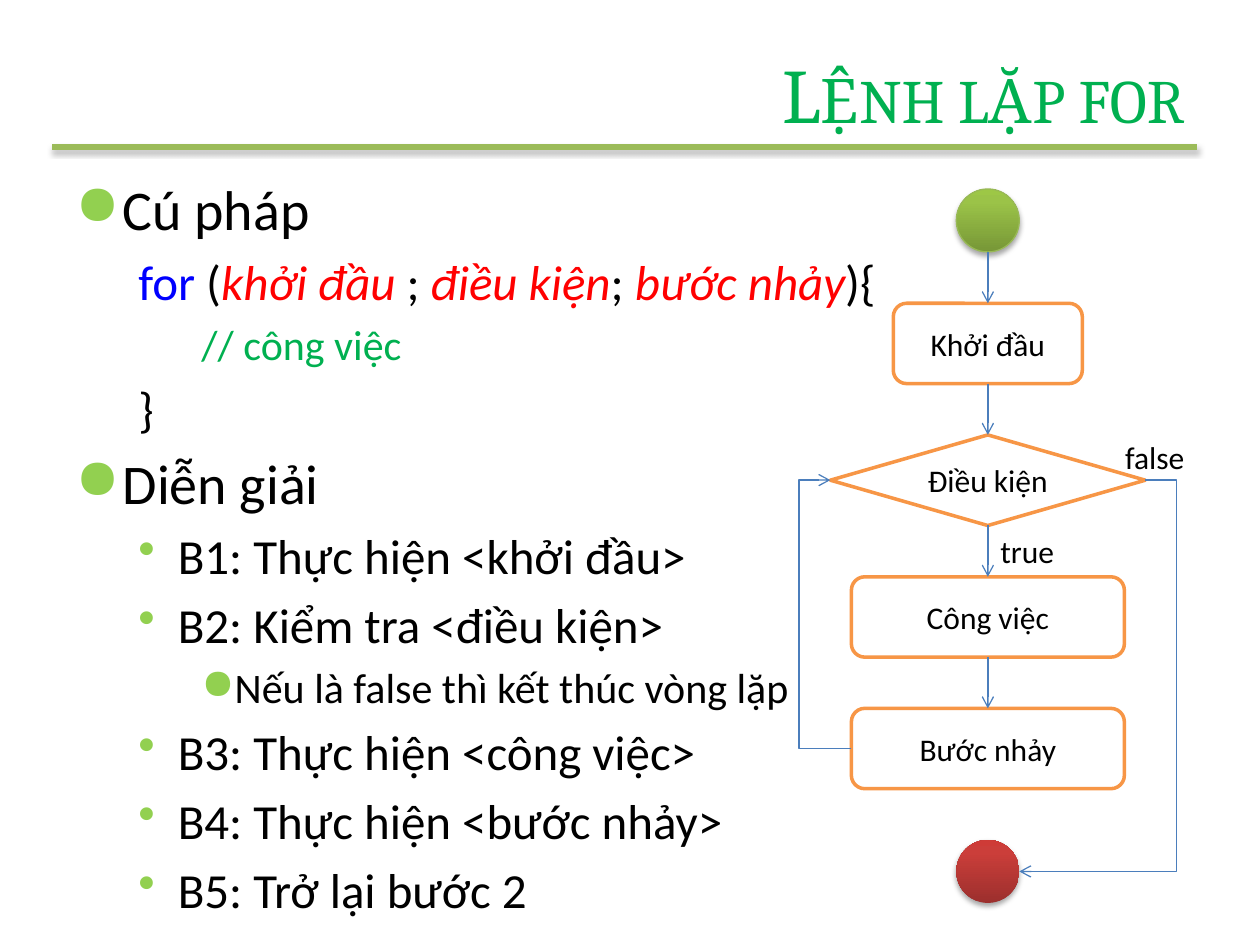
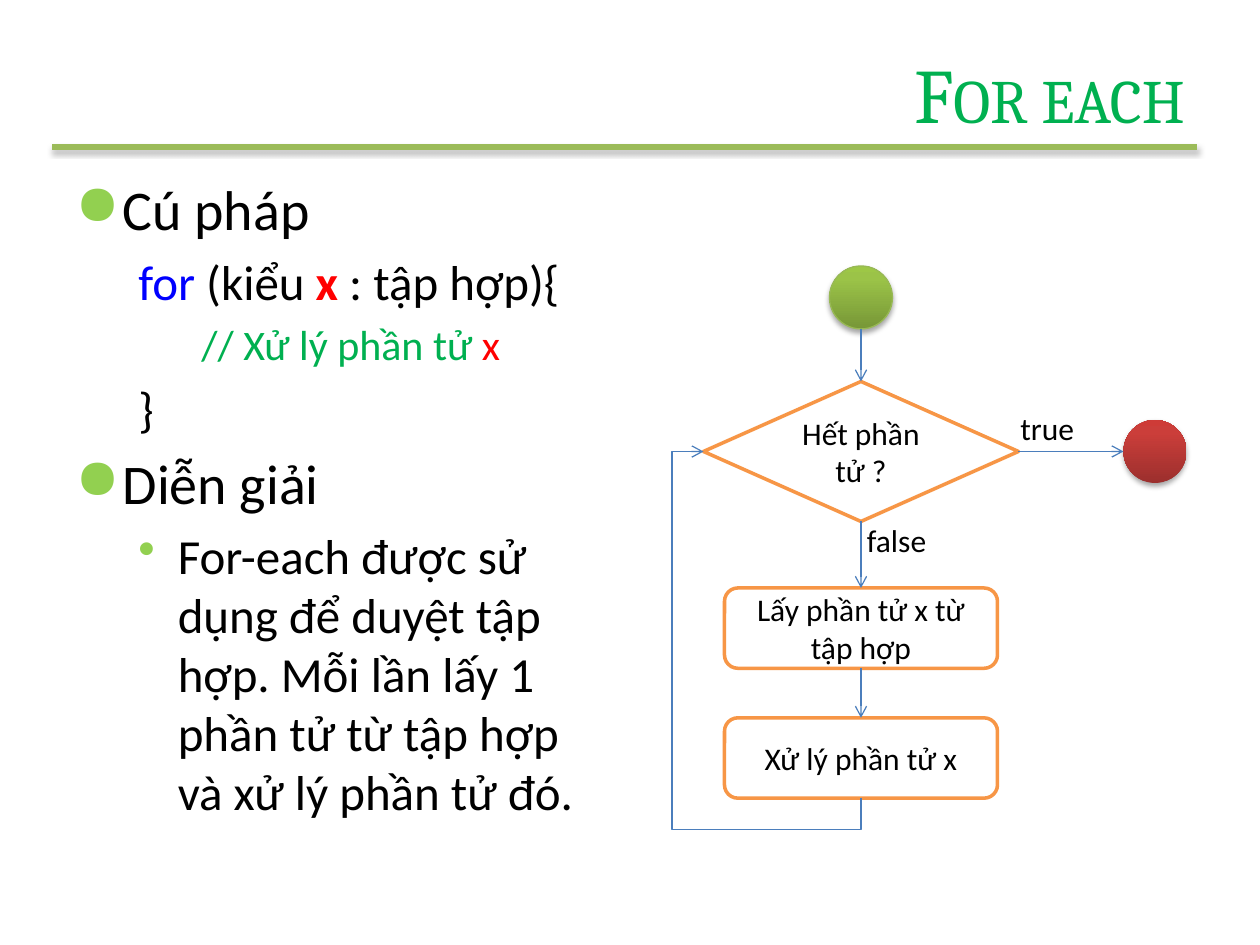
from lxml.etree import SubElement
from pptx import Presentation
from pptx.dml.color import RGBColor
from pptx.enum.shapes import MSO_CONNECTOR as CONN, MSO_SHAPE as SHAPE
from pptx.enum.text import MSO_ANCHOR as ANCHOR, MSO_AUTO_SIZE as AUTO, PP_ALIGN as ALIGN
from pptx.oxml import parse_xml
from pptx.oxml.ns import nsdecls, qn
from pptx.util import Pt

BLACK, WHITE, RED, BLUE, GREEN = "000000", "FFFFFF", "FF0000", "0000FF", "00B050"
BULLET, RULE, BOX_LINE, ARROW = "92D050", "9BBB59", "F79646", "4B7EBC"
START_GRAD = ((0, "779737"), (80, "9BC348"), (100, "9DC746"))
END_GRAD = ((0, "9C2F2D"), (80, "CB3E3A"), (100, "CE3B37"))
START_LINE = "98B955"

# level: (size, left margin, hanging indent, bullet)
LEVELS = ((32, 27, 27, "●"), (28, 58.5, 22.5, "•"), (24, 90, 18, "●"))
TOP, LEFT, BOTTOM, RIGHT = range(4)
DOT, BOX_H = 36, 45.9

# body: (level, has bullet, runs); stack: (name, kind, text, width, height, gap above)
# arrows: (from, side, to, side); loops: (from, side, to, side, turn x, turn y, arrow at start)
SLIDES = [
    {
        "title": "Lệnh lặp for",
        "body_size": (480, 420),
        "body": [
            (0, True, [("Cú pháp", {})]),
            (1, False, [("for", {"color": BLUE}), (" (", {}),
                        ("khởi đầu ", {"color": RED, "italic": True}), ("; ", {}),
                        ("điều kiện", {"color": RED, "italic": True}), ("; ", {}),
                        ("bước nhảy", {"color": RED, "italic": True}), ("){", {})]),
            (2, False, [("// công việc", {"color": GREEN})]),
            (1, False, [("}", {})]),
            (0, True, [("Diễn giải", {})]),
            (1, True, [("B1: Thực hiện <khởi đầu>", {})]),
            (1, True, [("B2: Kiểm tra <điều kiện>", {})]),
            (2, True, [("Nếu là false thì kết thúc vòng lặp", {})]),
            (1, True, [("B3: Thực hiện <công việc>", {})]),
            (1, True, [("B4: Thực hiện <bước nhảy>", {})]),
            (1, True, [("B5: Trở lại bước 2", {})]),
        ],
        "center": 564.5,
        "top": 108,
        "stack": [
            ("start", "start", "", DOT, DOT, 0),
            ("init", "box", "Khởi đầu", 108, BOX_H, 29.3),
            ("test", "decision", "Điều kiện", 180, 51.8, 29.3),
            ("work", "box", "Công việc", 156, BOX_H, 29.3),
            ("step", "box", "Bước nhảy", 156, BOX_H, 29.3),
            ("end", "end", "", DOT, DOT, 29.3),
        ],
        "arrows": [("start", BOTTOM, "init", TOP), ("init", BOTTOM, "test", TOP),
                   ("test", BOTTOM, "work", TOP), ("work", BOTTOM, "step", TOP)],
        "loops": [("test", RIGHT, "end", RIGHT, 672.5, None, False),
                  ("step", LEFT, "test", LEFT, 456.5, None, False)],
        "labels": [("true", 564.5, 300.5, 45.5), ("false", 635.8, 246.5, 49)],
    },
    {
        "title": "For each",
        "body_size": (312, 426),
        "body": [
            (0, True, [("Cú pháp", {})]),
            (1, False, [("for", {"color": BLUE}), (" (kiểu ", {}),
                        ("x", {"color": RED, "bold": True}), (" : tập hợp){", {})]),
            (2, False, [("// Xử lý phần tử ", {"color": GREEN}), ("x", {"color": RED})]),
            (1, False, [("}", {})]),
            (0, True, [("Diễn giải", {})]),
            (1, True, [("For-each được sử dụng để duyệt tập hợp. Mỗi lần lấy 1 phần tử "
                        "từ tập hợp và xử lý phần tử đó.", {})]),
        ],
        "center": 492,
        "top": 152,
        "stack": [
            ("start", "start", "", DOT, DOT, 0),
            ("test", "decision", "Hết phần tử ?", 180, 80, 30),
            ("take", "box", "Lấy phần tử x từ tập hợp", 156, BOX_H, 38),
            ("work", "box", "Xử lý phần tử x", 156, BOX_H, 28.3),
        ],
        "beside": ("end", "end", "", DOT, DOT, 660, "test"),
        "arrows": [("start", BOTTOM, "test", TOP), ("test", BOTTOM, "take", TOP),
                   ("take", BOTTOM, "work", TOP), ("test", RIGHT, "end", LEFT)],
        "loops": [("test", LEFT, "work", BOTTOM, 384, 474, True)],
        "labels": [("false", 488.3, 294, 49), ("true", 576, 230, 45.5)],
    },
]


def rgb(color):
    return RGBColor.from_string(color)


def write(p, text, size=18, color=BLACK, font="Calibri", bold=False, italic=False, caps=None):
    r = p.add_run()
    r.text = text
    f = r.font
    f.size, f.name, f.bold, f.italic = Pt(size), font, bold, italic
    f.color.rgb = rgb(color)
    if caps:
        r._r.get_or_add_rPr().set("cap", caps)


def add_box(slide, left, top, width, height, wrap=True):
    s = slide.shapes.add_textbox(Pt(left), Pt(top), Pt(width), Pt(height))
    s.text_frame.word_wrap = wrap
    return s.text_frame


def add_shadow(sp_pr):
    """Fill the shape's effect list with a soft shadow straight below."""
    sp_pr.find(qn("a:effectLst")).append(parse_xml(
        f'<a:outerShdw {nsdecls("a")} blurRad="{Pt(3.1)}" dist="{Pt(1.8)}" dir="5400000" '
        'rotWithShape="0"><a:srgbClr val="000000"><a:alpha val="35000"/></a:srgbClr></a:outerShdw>'))


def add_gradient(s, stops):
    s.fill.background()
    gs = "".join(f'<a:gs pos="{pos * 1000}"><a:srgbClr val="{c}"/></a:gs>' for pos, c in stops)
    sp_pr = s._element.spPr
    sp_pr.replace(sp_pr.find(qn("a:noFill")), parse_xml(
        f'<a:gradFill {nsdecls("a")} rotWithShape="1"><a:gsLst>{gs}</a:gsLst>'
        '<a:lin ang="16200000" scaled="0"/></a:gradFill>'))


def add_line(slide, begin, end, color=ARROW, width=0.75, kind=CONN.STRAIGHT, arrow=None):
    c = slide.shapes.add_connector(kind, *begin, *end)
    c.line.color.rgb, c.line.width = rgb(color), Pt(width)
    if arrow:
        SubElement(c.line._get_or_add_ln(), qn(f"a:{arrow}"), type="arrow")
    SubElement(c._element.spPr, qn("a:effectLst"))
    return c


def add_node(slide, kind, text, center, top, width, height):
    preset = {"box": SHAPE.ROUNDED_RECTANGLE, "decision": SHAPE.FLOWCHART_DECISION}
    s = slide.shapes.add_shape(preset.get(kind, SHAPE.OVAL), Pt(center - width / 2), Pt(top),
                               Pt(width), Pt(height))
    s.shadow.inherit = False
    if kind in preset:
        s.fill.solid()
        s.fill.fore_color.rgb = rgb(WHITE)
        s.line.color.rgb, s.line.width = rgb(BOX_LINE), Pt(2)
        tf = s.text_frame
        tf.word_wrap, tf.vertical_anchor = True, ANCHOR.MIDDLE
        tf.paragraphs[0].alignment = ALIGN.CENTER
        write(tf.paragraphs[0], text)
        return s
    add_gradient(s, START_GRAD if kind == "start" else END_GRAD)
    if kind == "start":
        s.line.color.rgb, s.line.width = rgb(START_LINE), Pt(0.75)
    else:
        s.line.fill.background()
    add_shadow(s._element.spPr)
    return s


def side_point(s, side):
    mid_x, mid_y = s.left + s.width // 2, s.top + s.height // 2
    return ((mid_x, s.top), (s.left, mid_y), (mid_x, s.top + s.height),
            (s.left + s.width, mid_y))[side]


def add_arrow(slide, a, a_side, b, b_side):
    c = add_line(slide, side_point(a, a_side), side_point(b, b_side), arrow="tailEnd")
    if a.auto_shape_type != SHAPE.OVAL:
        c.begin_connect(a, a_side)
    if b.auto_shape_type != SHAPE.OVAL:
        c.end_connect(b, b_side)


def add_loop(slide, a, a_side, b, b_side, turn_x, turn_y, arrow_at_start):
    """Elbow that turns at turn_x and, if it ends upright, also at turn_y."""
    begin, end = side_point(a, a_side), side_point(b, b_side)
    c = add_line(slide, begin, end, kind=CONN.ELBOW,
                 arrow="headEnd" if arrow_at_start else "tailEnd")
    turns = [(Pt(turn_x) - begin[0]) / (end[0] - begin[0])]
    if turn_y:
        turns.append((Pt(turn_y) - begin[1]) / (end[1] - begin[1]))
    geom = c._element.spPr.find(qn("a:prstGeom"))
    geom.set("prst", f"bentConnector{len(turns) + 2}")
    guides = geom.find(qn("a:avLst"))
    for n, turn in enumerate(turns, 1):
        name = f"adj{n}"
        SubElement(guides, qn("a:gd"), name=name, fmla=f"val {round(turn * 100000)}")


def add_title(slide, title):
    rule = add_line(slide, (Pt(30), Pt(84)), (Pt(684), Pt(84)), RULE, 3)
    add_shadow(rule._element.spPr)
    tf = add_box(slide, 104.5, 21.5, 579.5, 62.5)
    tf.vertical_anchor = ANCHOR.MIDDLE
    tf.paragraphs[0].alignment = ALIGN.RIGHT
    write(tf.paragraphs[0], title, size=44, color=GREEN, font="Cambria", caps="small")


def add_body(slide, paragraphs, size):
    tf = add_box(slide, 36, 96, *size)
    for i, (level, has_bullet, runs) in enumerate(paragraphs):
        p = tf.add_paragraph() if i else tf.paragraphs[0]
        p.level = level
        font_size, margin, hang, bullet = LEVELS[level]
        p_pr = p._p.get_or_add_pPr()
        p_pr.set("marL", str(Pt(margin)))
        p_pr.set("indent", str(-Pt(hang)))
        SubElement(SubElement(p_pr, qn("a:spcBef")), qn("a:spcPct"), val="20000")
        if has_bullet:
            SubElement(SubElement(p_pr, qn("a:buClr")), qn("a:srgbClr"), val=BULLET)
            SubElement(p_pr, qn("a:buChar"), char=bullet)
        else:
            SubElement(p_pr, qn("a:buNone"))
        for text, fmt in runs:
            write(p, text, size=font_size, **fmt)


def add_flowchart(slide, data):
    nodes, top = {}, data["top"]
    for name, kind, text, width, height, gap in data["stack"]:
        top += gap
        nodes[name] = add_node(slide, kind, text, data["center"], top, width, height)
        top += height
    if "beside" in data:
        name, kind, text, width, height, center, neighbour = data["beside"]
        s = nodes[neighbour]
        middle = (s.top + s.height / 2) / Pt(1)
        nodes[name] = add_node(slide, kind, text, center, middle - height / 2, width, height)
    for a, a_side, b, b_side in data["arrows"]:
        add_arrow(slide, nodes[a], a_side, nodes[b], b_side)
    for a, a_side, b, b_side, *turns in data["loops"]:
        add_loop(slide, nodes[a], a_side, nodes[b], b_side, *turns)
    for text, left, label_top, width in data["labels"]:
        tf = add_box(slide, left, label_top, width, 29, wrap=False)
        tf.auto_size = AUTO.SHAPE_TO_FIT_TEXT
        write(tf.paragraphs[0], text)


def main():
    prs = Presentation()
    prs.slide_width, prs.slide_height = Pt(720), Pt(540)
    for data in SLIDES:
        slide = prs.slides.add_slide(prs.slide_layouts[6])
        add_title(slide, data["title"])
        add_body(slide, data["body"], data["body_size"])
        add_flowchart(slide, data)
    prs.save("out.pptx")


if __name__ == "__main__":
    main()
